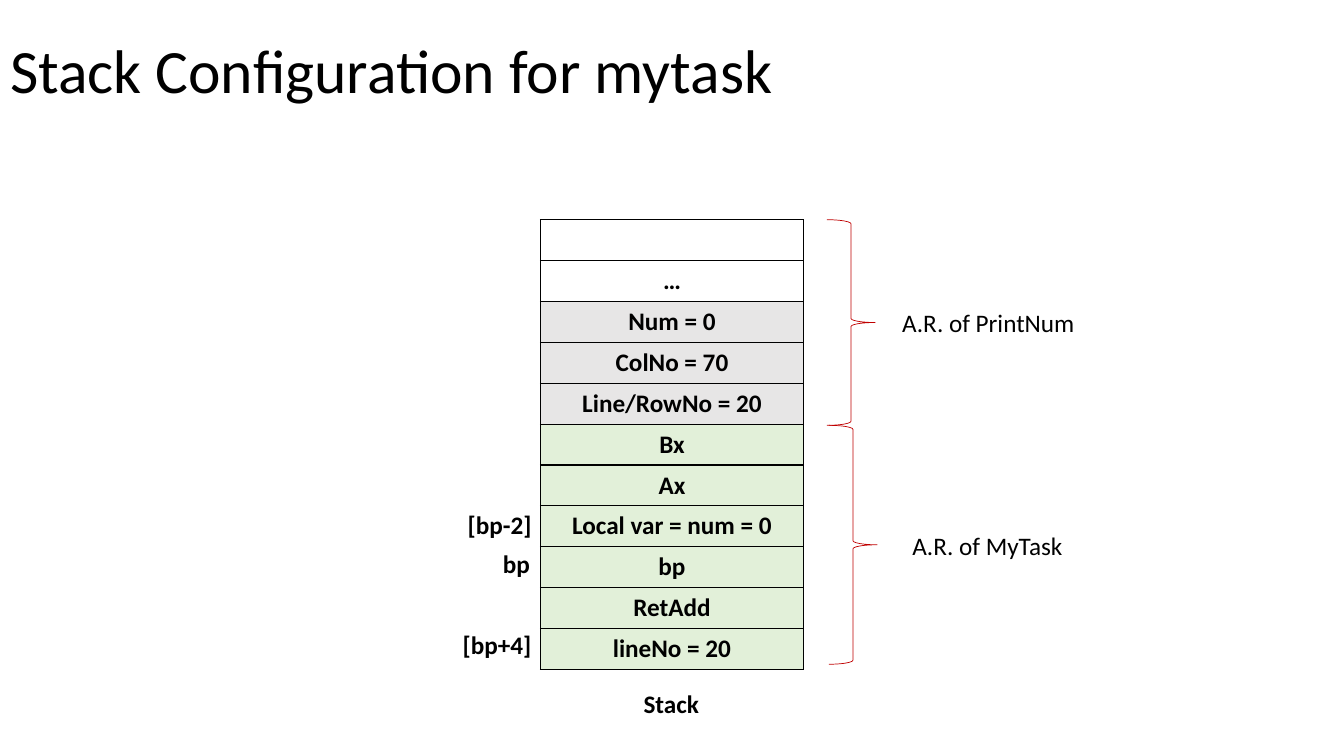
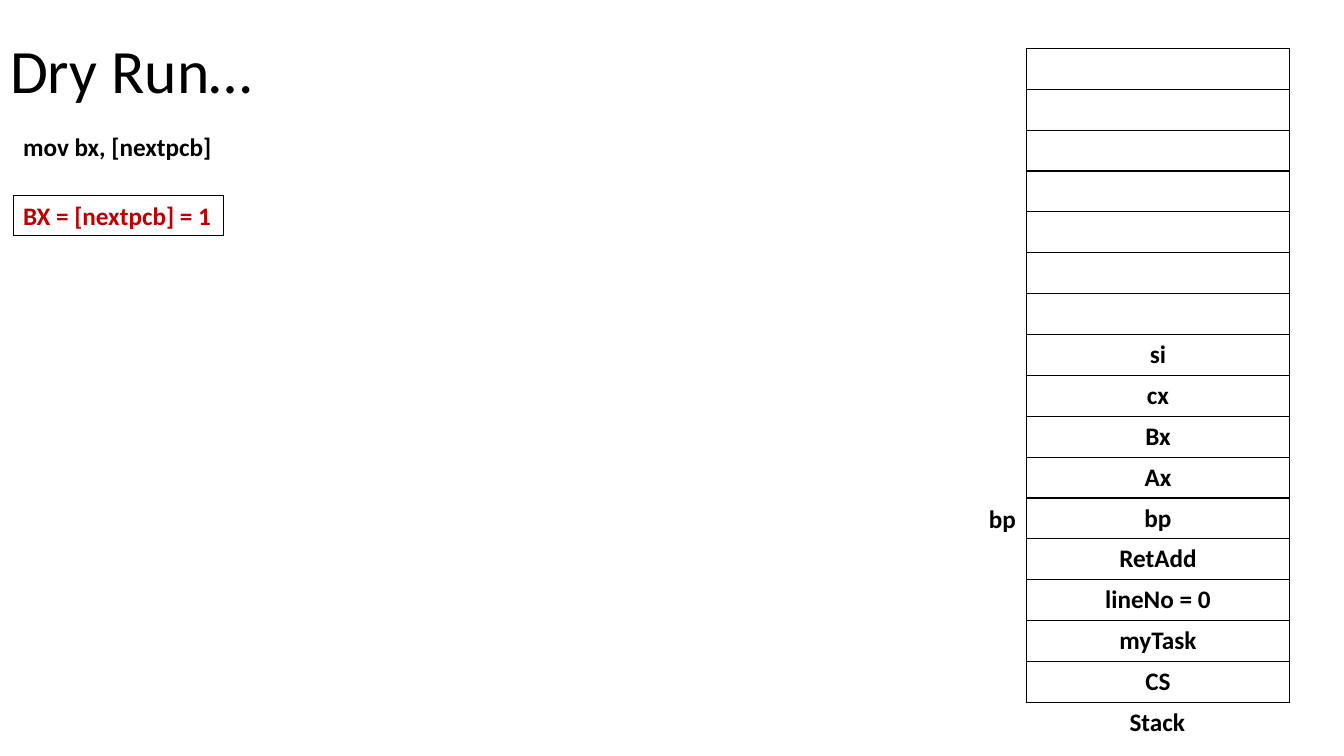
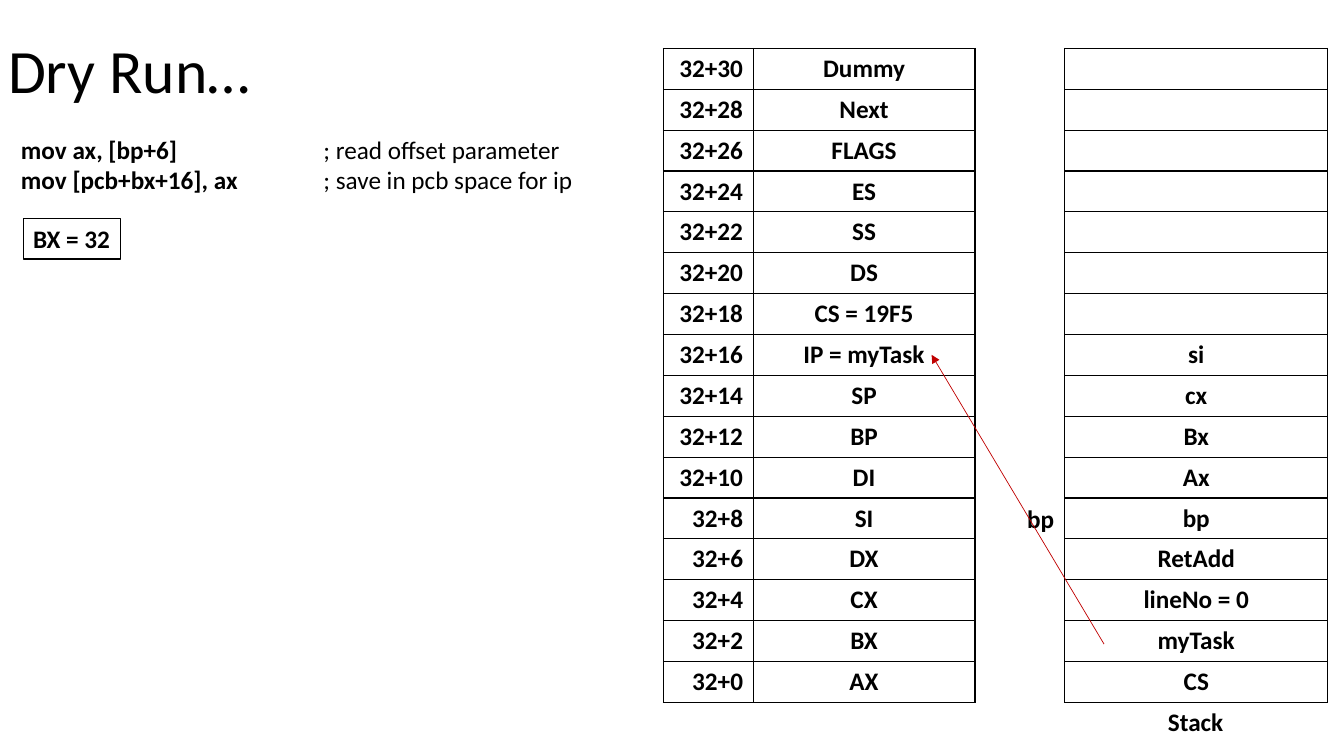
from lxml import etree
from pptx import Presentation
from pptx.dml.color import RGBColor
from pptx.enum.shapes import MSO_CONNECTOR, MSO_SHAPE
from pptx.enum.text import MSO_ANCHOR, MSO_AUTO_SIZE, PP_ALIGN
from pptx.oxml.ns import qn
from pptx.util import Inches, Pt

LEFT, CENTER, RIGHT = PP_ALIGN.LEFT, PP_ALIGN.CENTER, PP_ALIGN.RIGHT
TOP, MIDDLE = MSO_ANCHOR.TOP, MSO_ANCHOR.MIDDLE
RECT, BRACE = MSO_SHAPE.RECTANGLE, MSO_SHAPE.RIGHT_BRACE
STRAIGHT = MSO_CONNECTOR.STRAIGHT
FIT = MSO_AUTO_SIZE.SHAPE_TO_FIT_TEXT

FONT = "Calibri"
COLORS = {
    "black": "000000",
    "red": "C00000",
    "gray": "E7E6E6",
    "green": "E2F0D9",
}
ROW = 6.49 / 16
STACK = 2.61
LINE = 0.4


def color(name):
    return RGBColor.from_string(COLORS[name])


class Deck:
    def __init__(self):
        self.file = Presentation()
        self.file.slide_width = Inches(13.33)
        self.file.slide_height = Inches(7.5)
        self.slide = None

    def style(self, para, size=18, bold=None, tone="black", align=LEFT):
        para.alignment = align
        font = para.font
        font.name, font.size, font.bold = FONT, Pt(size), bold
        font.color.rgb = color(tone)

    def page(self, title, left=0):
        self.slide = self.file.slides.add_slide(self.file.slide_layouts[5])
        head = self.slide.shapes.title
        head.left, head.top = Inches(left), Inches(0)
        head.width, head.height = Inches(11.5), Inches(1.45)
        frame = head.text_frame
        frame.text = title
        frame.vertical_anchor = MIDDLE
        para = frame.paragraphs[0]
        para.line_spacing = 0.9
        self.style(para, 44)

    def fit(self, frame):
        frame.word_wrap = False
        frame.auto_size = FIT
        frame.vertical_anchor = TOP

    def label(self, text, left, top, width, bold=True):
        box = self.slide.shapes.add_textbox(
            Inches(left), Inches(top), Inches(width), Inches(LINE))
        self.fit(box.text_frame)
        box.text_frame.text = text
        self.style(box.text_frame.paragraphs[0], bold=bold)

    def shape(self, kind, left, top, width, height, tone, weight):
        item = self.slide.shapes.add_shape(
            kind, Inches(left), Inches(top), Inches(width), Inches(height))
        item.shadow.inherit = False
        item.fill.background()
        item.line.color.rgb = color(tone)
        item.line.width = Pt(weight)
        return item

    def note(self, text, left, top, width, tone="black"):
        box = self.shape(RECT, left, top, width, LINE, "black", 0.75)
        self.fit(box.text_frame)
        box.text_frame.text = text
        self.style(box.text_frame.paragraphs[0], bold=True, tone=tone)

    def brace(self, left, top, height):
        self.shape(BRACE, left, top, 0.48, height, "red", 0.5)

    def tabs(self, para, stops):
        tabs = etree.SubElement(para._p.get_or_add_pPr(), qn("a:tabLst"))
        for stop in stops:
            etree.SubElement(tabs, qn("a:tab"), pos=str(Inches(stop)),
                             algn="l")

    def code(self, lines, left, top, width, height):
        box = self.slide.shapes.add_textbox(
            Inches(left), Inches(top), Inches(width), Inches(height))
        frame = box.text_frame
        self.fit(frame)
        for i, (order, remark) in enumerate(lines):
            para = frame.paragraphs[0] if i == 0 else frame.add_paragraph()
            self.tabs(para, (2, 3))
            self.style(para)
            for text, bold in ((order, True), (remark, False)):
                run = para.add_run()
                run.text = text
                run.font.bold = bold

    def border(self, cell):
        props = cell._tc.get_or_add_tcPr()
        for side in ("lnL", "lnR", "lnT", "lnB"):
            line = etree.SubElement(props, qn("a:" + side), w=str(Pt(1)))
            fill = etree.SubElement(line, qn("a:solidFill"))
            etree.SubElement(fill, qn("a:srgbClr"), val=COLORS["black"])

    def table(self, rows, left, top, widths, aligns, tones=None):
        frame = self.slide.shapes.add_table(
            len(rows), len(widths), Inches(left), Inches(top),
            Inches(sum(widths)), Inches(ROW * len(rows)))
        grid = frame.table
        grid.first_row = grid.horz_banding = False
        for col, width in zip(grid.columns, widths):
            col.width = Inches(width)
        for r, row in enumerate(rows):
            grid.rows[r].height = Inches(ROW)
            for c, text in enumerate(row):
                cell = grid.cell(r, c)
                cell.text = text
                self.style(cell.text_frame.paragraphs[0], bold=True,
                           align=aligns[c])
                self.border(cell)
                if tones and tones[r]:
                    cell.fill.solid()
                    cell.fill.fore_color.rgb = color(tones[r])
                else:
                    cell.fill.background()

    def stack(self, names, left, top, base, tones=None):
        self.table([[name] for name in names], left, top, [STACK], [CENTER],
                   tones)
        self.label("Stack", left + (STACK - 0.76) / 2, base, 0.76)

    def arrow(self, x1, y1, x2, y2):
        line = self.slide.shapes.add_connector(
            STRAIGHT, Inches(x1), Inches(y1), Inches(x2), Inches(y2))
        line.line.color.rgb = color("red")
        line.line.width = Pt(0.5)
        etree.SubElement(line.line._get_or_add_ln(), qn("a:tailEnd"),
                         type="triangle")
        etree.SubElement(line._element.spPr, qn("a:effectLst"))


def main():
    deck = Deck()

    deck.page("Stack Configuration for mytask")
    names = ["", "…", "Num = 0", "ColNo = 70", "Line/RowNo = 20", "Bx", "Ax",
             "Local var = num = 0", "bp", "RetAdd", "lineNo = 20"]
    tones = [None] * 2 + ["gray"] * 3 + ["green"] * 6
    deck.stack(names, 5.36, 2.18, 6.78, tones)
    deck.label("bp", 4.89, 5.39, 0.47)
    deck.label("[bp+4]", 4.49, 6.19, 0.89)
    deck.label("[bp-2]", 4.54, 5, 0.85)
    deck.brace(8.22, 4.22, 2.37)
    deck.label("A.R. of MyTask", 8.95, 5.21, 1.7, False)
    deck.brace(8.2, 2.18, 2.04)
    deck.label("A.R. of PrintNum", 8.85, 3, 1.93, False)

    names = [""] * 7 + ["si", "cx", "Bx", "Ax", "bp", "RetAdd", "lineNo = 0",
                        "myTask", "CS"]

    deck.page("Dry Run…")
    deck.stack(names, 10.18, 0.48, 6.96)
    deck.note("BX = [nextpcb] = 1", 0.13, 1.94, 2.09, "red")
    deck.label("mov bx, [nextpcb]", 0.13, 1.25, 2.09)
    deck.label("bp", 9.71, 4.94, 0.47)

    deck.page("Dry Run…", -0.02)
    deck.stack(names, 10.56, 0.48, 6.96)
    deck.note("BX = 32", 0.23, 2.17, 0.97)
    deck.code([("mov ax, [bp+6]", "\t\t; read offset parameter"),
               ("mov [pcb+bx+16], ax", "\t; save in pcb space for ip")],
              0.11, 1.28, 5.73, 0.71)
    deck.label("bp", 10.09, 4.94, 0.47)
    fields = ["Dummy", "Next", "FLAGS", "ES", "SS", "DS", "CS = 19F5",
              "IP = myTask", "SP", "BP", "DI", "SI", "DX", "CX", "BX", "AX"]
    rows = [(f"32+{30 - 2 * i}", name) for i, name in enumerate(fields)]
    deck.table(rows, 6.58, 0.48, [0.89, 2.2], [RIGHT, CENTER])
    deck.arrow(10.95, 6.39, 9.24, 3.52)

    deck.file.save("out.pptx")


if __name__ == "__main__":
    main()
